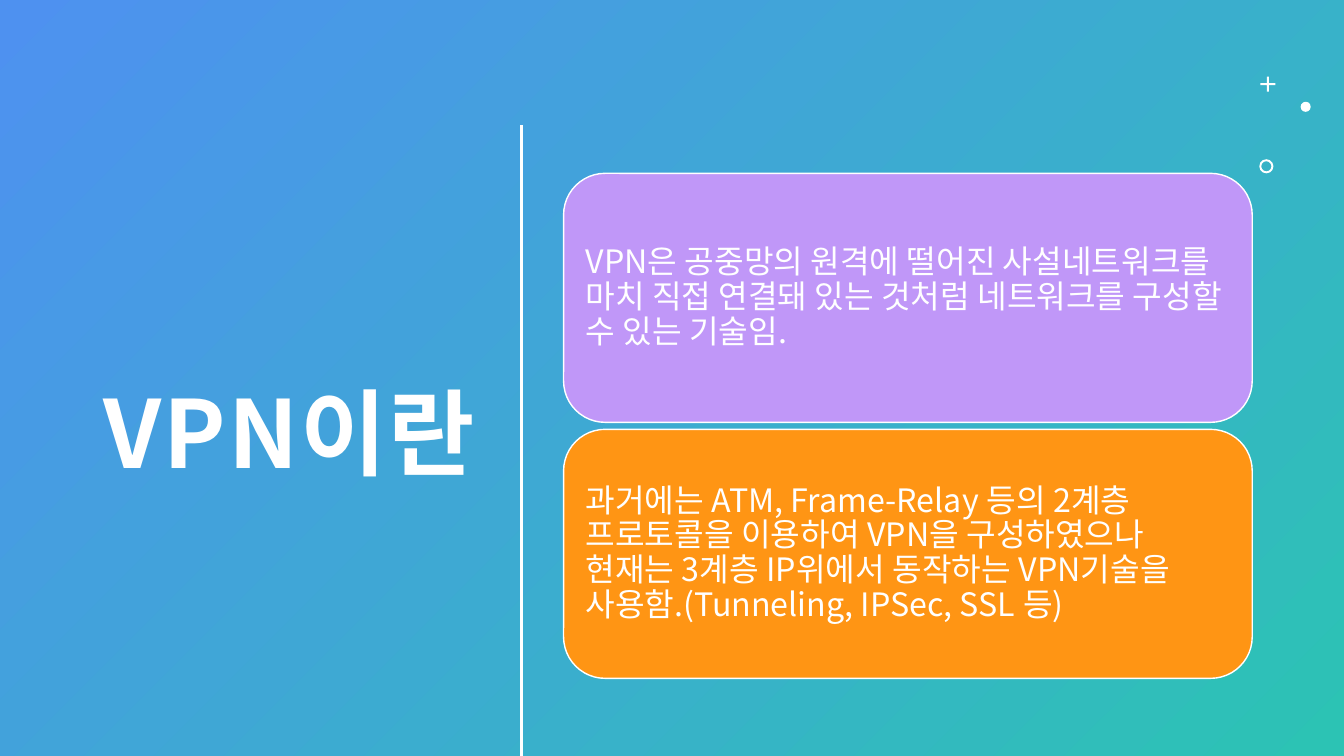
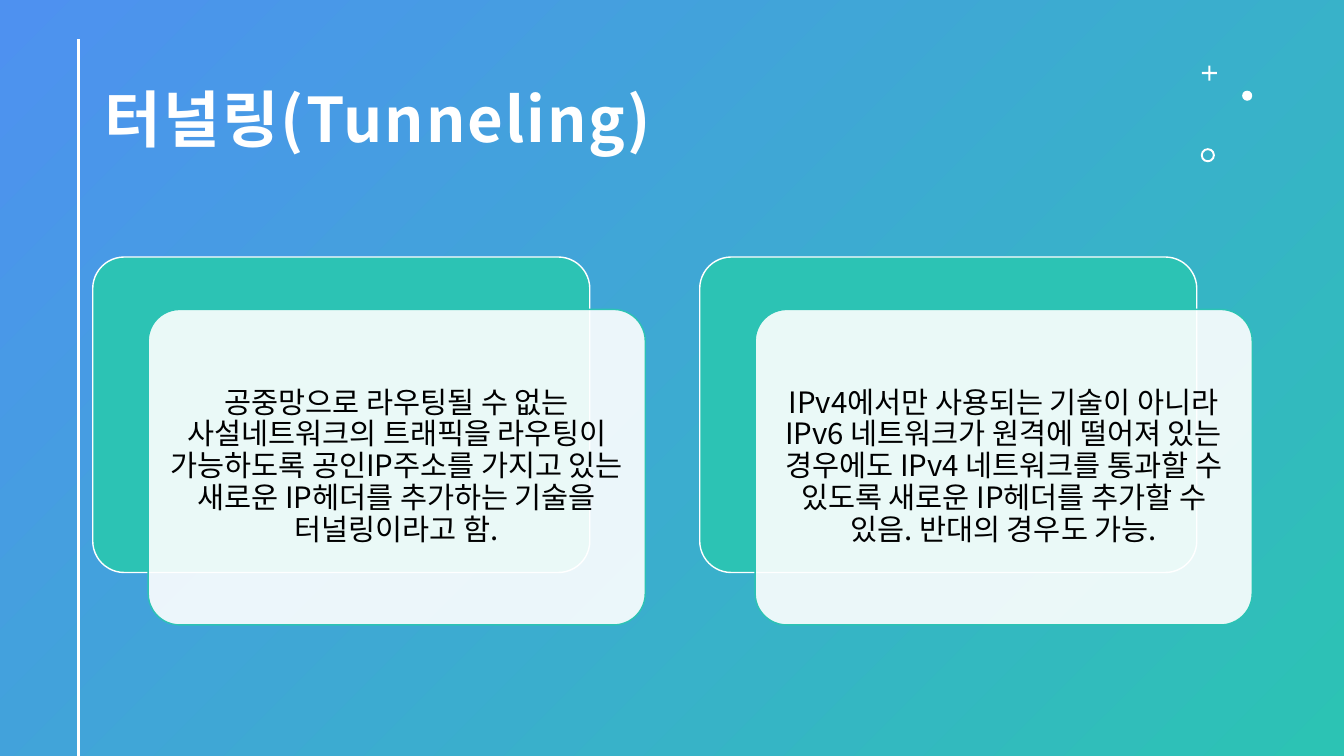
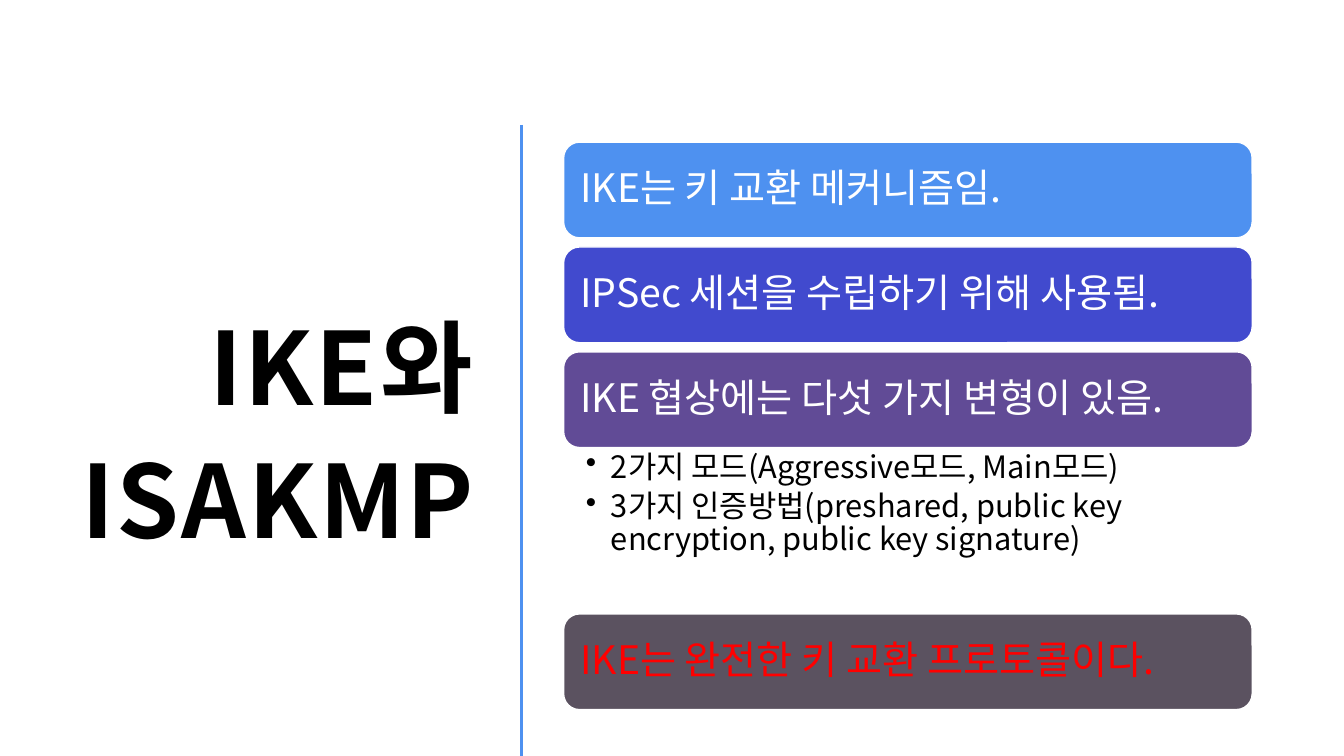
import pptx
import pptx.dml.color
import pptx.enum.shapes
import pptx.enum.text
import pptx.oxml.ns
import pptx.util
import lxml.etree

WIDTH, HEIGHT = 13.33, 7.5
FONT = "Noto Sans CJK KR"
WHITE, BLACK, RED = "FFFFFF", "000000", "FF0000"
BLUE, TEAL = "4E91F0", "2CC3B4"

SIDE_TITLE = (0.52, 1.16, 4.31, 6.11)
TOP_TITLE = (0.92, 0.4, 10.72, 1.45)
SIDE_RULE = (5.17, 1.24)
TOP_RULE = (0.78, 0.39)
PANEL_LEFT, PANEL_WIDTH = 5.59, 6.83

DEFINITIONS = [
    ("C097F8", "VPN은 공중망의 원격에 떨어진 사설네트워크를 마치 직접 연결돼 있는 것처럼 네트워크를 구성할 수 있는 기술임."),
    ("FF9514", "과거에는 ATM, Frame-Relay 등의 2계층 프로토콜을 이용하여 VPN을 구성하였으나 현재는 3계층 IP위에서 동작하는 VPN기술을 사용함.(Tunneling, IPSec, SSL 등)"),
]
TUNNEL_CARDS = [
    "공중망으로 라우팅될 수 없는 사설네트워크의 트래픽을 라우팅이 가능하도록 공인IP주소를 가지고 있는 새로운 IP헤더를 추가하는 기술을 터널링이라고 함.",
    "IPv4에서만 사용되는 기술이 아니라 IPv6 네트워크가 원격에 떨어져 있는 경우에도 IPv4 네트워크를 통과할 수 있도록 새로운 IP헤더를 추가할 수 있음. 반대의 경우도 가능.",
]
IKE_BARS = [
    (BLUE, WHITE, "IKE는 키 교환 메커니즘임.", []),
    ("414ACE", WHITE, "IPSec 세션을 수립하기 위해 사용됨.", []),
    ("614B96", WHITE, "IKE 협상에는 다섯 가지 변형이 있음.", [
        "2가지 모드(Aggressive모드, Main모드)",
        "3가지 인증방법(preshared, public key encryption, public key signature)",
    ]),
    ("5B5260", RED, "IKE는 완전한 키 교환 프로토콜이다.", []),
]

KIND = pptx.enum.shapes.MSO_SHAPE
ALIGN = pptx.enum.text.PP_ALIGN
ANCHOR = pptx.enum.text.MSO_ANCHOR
ORNAMENTS = [
    (KIND.CROSS, 0.01, 0, 0.15, 0.43),
    (KIND.OVAL, 0.41, 0.25, 0.1, None),
    (KIND.DONUT, 0, 0.82, 0.14, 0.14),
]


def color(code):
    return pptx.dml.color.RGBColor.from_string(code)


def inches(*values):
    return [pptx.util.Inches(value) for value in values]


def sub(parent, tag, **attributes):
    return lxml.etree.SubElement(parent, pptx.oxml.ns.qn(tag), attributes)


def set_frame(frame, insets, anchor):
    frame.word_wrap = True
    frame.auto_size = pptx.enum.text.MSO_AUTO_SIZE.NONE
    frame.vertical_anchor = anchor
    (frame.margin_left, frame.margin_top,
     frame.margin_right, frame.margin_bottom) = inches(*insets)


def write(para, text, size, code, align=ALIGN.LEFT, spacing=0.9, bold=False):
    para.alignment = align
    para.line_spacing = spacing
    span = para.add_run()
    span.text = text
    span.font.size = pptx.util.Pt(size)
    span.font.name = FONT
    span.font.bold = bold
    span.font.color.rgb = color(code)
    sub(span.font._element, "a:ea", typeface=FONT)
    return span


def add_page(deck, title, place, size, code, align):
    page = deck.slides.add_slide(deck.slide_layouts[5])
    box = page.shapes.title
    box.left, box.top, box.width, box.height = inches(*place)
    set_frame(box.text_frame, (0.12, 0.12, 0.12, 0.1), ANCHOR.MIDDLE)
    span = write(box.text_frame.paragraphs[0], title, size, code, align, 1.1, True)
    span.font._element.set("spc", "140")
    return page


def add_gradient(page):
    fill = page.background.fill
    fill.gradient()
    fill.gradient_angle = 315
    for stop, code in zip(fill.gradient_stops, (BLUE, TEAL)):
        stop.color.rgb = color(code)


def add_rule(page, start, code):
    left, top = start
    rule = page.shapes.add_connector(
        pptx.enum.shapes.MSO_CONNECTOR.STRAIGHT, *inches(left, top, left, HEIGHT))
    rule.line.color.rgb = color(code)
    rule.line.width = pptx.util.Pt(2)
    sub(rule._element.spPr, "a:effectLst")


def add_box(page, kind, place, fill, line=None, adjust=None):
    box = page.shapes.add_shape(kind, *inches(*place))
    box.shadow.inherit = False
    box.fill.solid()
    box.fill.fore_color.rgb = color(fill)
    if line:
        box.line.color.rgb = color(line)
        box.line.width = pptx.util.Pt(1)
    else:
        box.line.fill.background()
    if adjust is not None:
        box.adjustments[0] = adjust
    return box


def fill_text(box, text, size, code, inset, align=ALIGN.LEFT):
    set_frame(box.text_frame, [inset] * 4, ANCHOR.MIDDLE)
    write(box.text_frame.paragraphs[0], text, size, code, align)


def add_ornaments(page, left, top):
    for kind, across, down, side, adjust in ORNAMENTS:
        add_box(page, kind, (left + across, top + down, side, side), WHITE, adjust=adjust)


def add_bullets(page, place, items):
    box = page.shapes.add_textbox(*inches(*place))
    set_frame(box.text_frame, (0.22, 0.04, 0.22, 0.04), ANCHOR.TOP)
    for index, item in enumerate(items):
        para = box.text_frame.paragraphs[0] if index == 0 else box.text_frame.add_paragraph()
        write(para, item, 22, BLACK)
        para.space_after = pptx.util.Pt(4.4)
        props = para._element.get_or_add_pPr()
        indent = pptx.util.Inches(0.25)
        props.set("marL", str(indent))
        props.set("indent", str(-indent))
        sub(props, "a:buChar", char="•")


def build_definition(deck):
    page = add_page(deck, "VPN이란", SIDE_TITLE, 67, WHITE, ALIGN.RIGHT)
    add_gradient(page)
    add_ornaments(page, 12.49, 0.76)
    add_rule(page, SIDE_RULE, WHITE)
    top, height, gap = 1.72, 2.47, 0.07
    for row, (fill, text) in enumerate(DEFINITIONS):
        place = (PANEL_LEFT, top + row * (height + gap), PANEL_WIDTH, height)
        box = add_box(page, KIND.ROUNDED_RECTANGLE, place, fill, WHITE)
        fill_text(box, text, 23, WHITE, 0.1)


def build_tunneling(deck):
    page = add_page(deck, "터널링(Tunneling)", TOP_TITLE, 44, WHITE, ALIGN.LEFT)
    add_gradient(page)
    add_rule(page, TOP_RULE, WHITE)
    add_ornaments(page, 11.91, 0.65)
    top, width, height, pitch = 2.55, 4.93, 3.13, 6.02
    for column, text in enumerate(TUNNEL_CARDS):
        left = 0.92 + column * pitch
        add_box(page, KIND.ROUNDED_RECTANGLE, (left, top, width, height), TEAL, WHITE, 0.1)
        card = add_box(page, KIND.ROUNDED_RECTANGLE,
                       (left + 0.55, top + 0.52, width, height), WHITE, TEAL, 0.1)
        tint = card._element.spPr.find(".//" + pptx.oxml.ns.qn("a:srgbClr"))
        sub(tint, "a:alpha", val="90000")
        fill_text(card, text, 21, BLACK, 0.09, ALIGN.CENTER)


def build_ike(deck):
    page = add_page(deck, "IKE와 ISAKMP", SIDE_TITLE, 72, BLACK, ALIGN.RIGHT)
    add_rule(page, SIDE_RULE, BLUE)
    top, height, gap, list_height = 1.41, 0.95, 0.09, 1.65
    for fill, code, text, items in IKE_BARS:
        box = add_box(page, KIND.ROUNDED_RECTANGLE,
                      (PANEL_LEFT, top, PANEL_WIDTH, height), fill, WHITE)
        fill_text(box, text, 28, code, 0.12)
        top += height
        if items:
            add_bullets(page, (PANEL_LEFT, top, PANEL_WIDTH, list_height), items)
            top += list_height
        else:
            top += gap


def main():
    deck = pptx.Presentation()
    deck.slide_width, deck.slide_height = inches(WIDTH, HEIGHT)
    build_definition(deck)
    build_tunneling(deck)
    build_ike(deck)
    deck.save("out.pptx")


if __name__ == "__main__":
    main()
